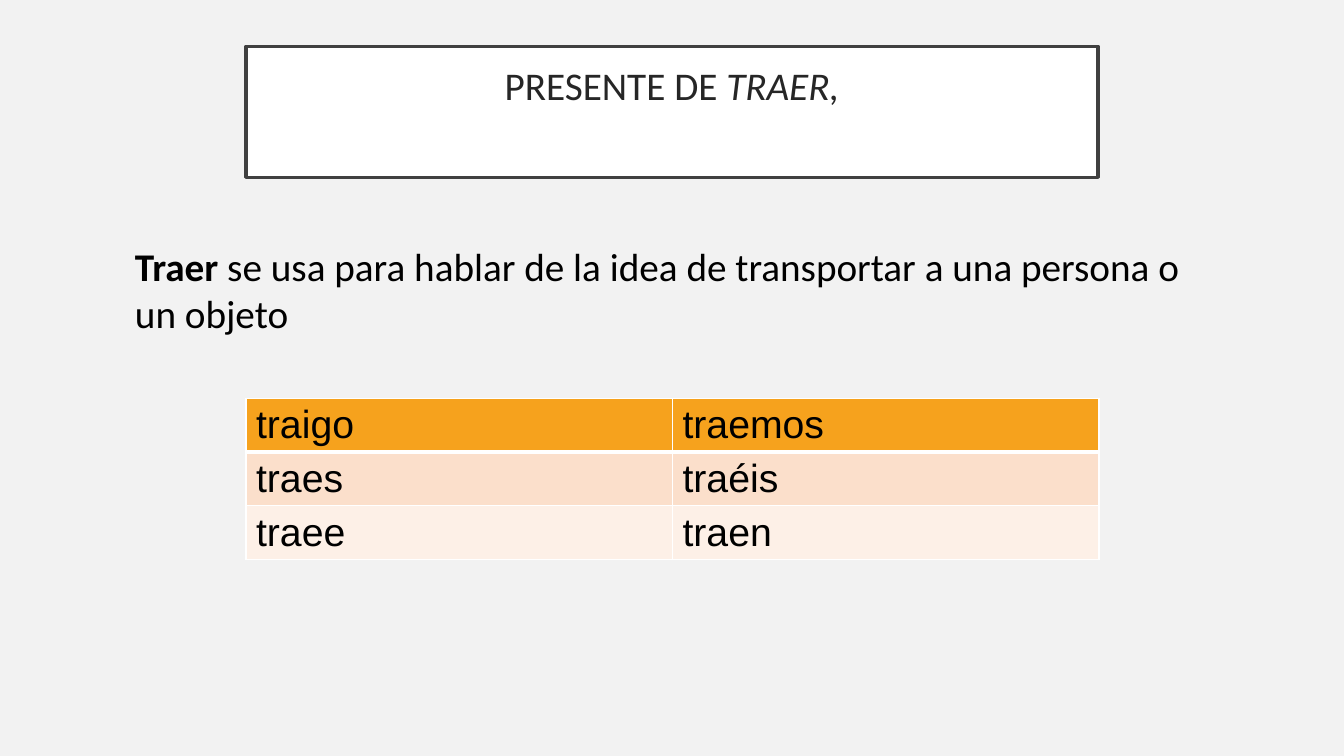
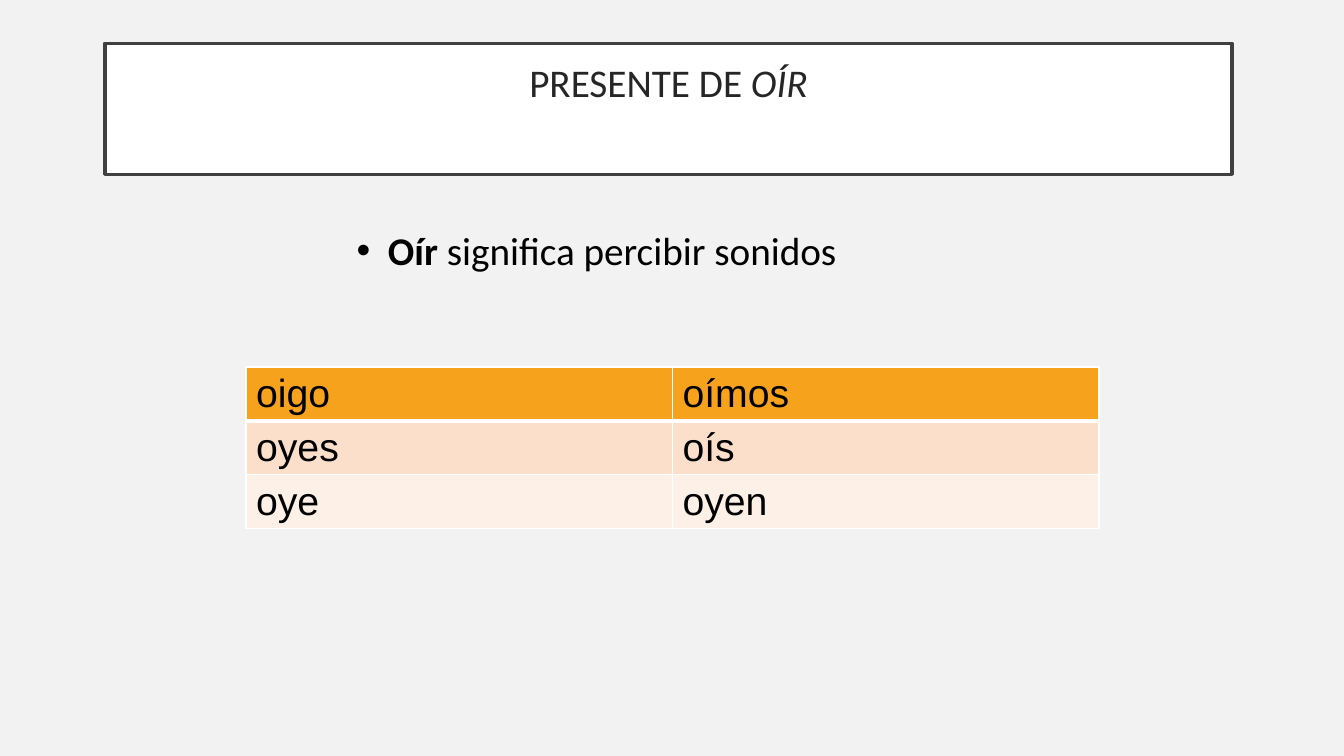
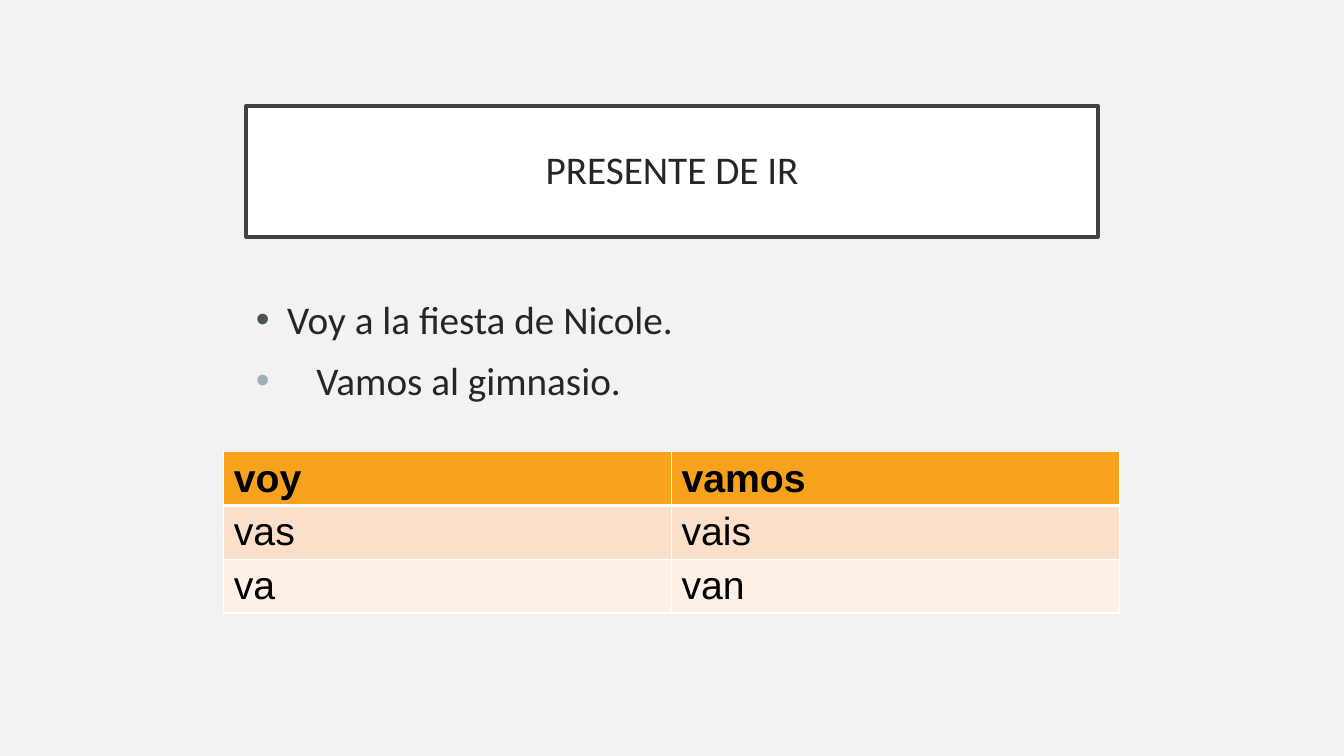
from dataclasses import dataclass
from typing import Any, NamedTuple, Optional

from lxml import etree
from pptx import Presentation
from pptx import util as u
from pptx.dml.color import RGBColor
from pptx.enum import shapes, text
from pptx.oxml import ns


@dataclass(frozen=True)
class Theme:
    background: str = "F2F2F2"
    white: str = "FFFFFF"
    frame: str = "404040"
    heading: str = "262626"
    black: str = "000000"
    bullet_dark: str = "4A5356"
    bullet_light: str = "9BAFB5"
    row_fills: tuple[str, ...] = ("F6A21D", "FBDFCB", "FDF0E7")
    text_font: str = "Calibri"
    table_font: str = "Arial"
    size: int = 28
    frame_width: float = 2.5
    border: int = 1
    header_border: int = 3


THEME = Theme()


class Box(NamedTuple):
    left: float
    top: float
    width: float
    height: float

    def lengths(self) -> list[int]:
        return [u.Inches(value) for value in self]


class Piece(NamedTuple):
    words: str
    bold: bool = False
    italic: bool = False


class Bullet(NamedTuple):
    color: str
    margin: float
    hanging: float


@dataclass(frozen=True)
class Line:
    pieces: tuple[Piece, ...]
    color: str = THEME.black
    bullet: Optional[Bullet] = None
    space_before: int = 0


@dataclass(frozen=True)
class Title:
    box: Box
    pieces: tuple[Piece, ...]
    anchor: Any = text.MSO_ANCHOR.TOP


@dataclass(frozen=True)
class VerbTable:
    left: float
    top: float
    column_width: float
    rows: tuple[tuple[str, str], ...]
    bold_header: bool = False
    row_height: float = 0.41


@dataclass(frozen=True)
class Lesson:
    title: Title
    body_box: Box
    lines: tuple[Line, ...]
    table: VerbTable


def set_format(target: Any, values: dict[str, Any]) -> None:
    for name, value in values.items():
        setattr(target, name, value)


def set_fill(fill: Any, color: str) -> None:
    fill.solid()
    fill.fore_color.rgb = RGBColor.from_string(color)


def set_frame(frame: Any, side: float, end: float, anchor: Any) -> None:
    set_format(frame, {
        "word_wrap": True,
        "auto_size": text.MSO_AUTO_SIZE.NONE,
        "vertical_anchor": anchor,
        "margin_left": u.Inches(side),
        "margin_right": u.Inches(side),
        "margin_top": u.Inches(end),
        "margin_bottom": u.Inches(end),
    })


def add_piece(paragraph: Any, piece: Piece, font_name: str, color: str) -> None:
    run = paragraph.add_run()
    run.text = piece.words
    set_format(run.font, {
        "name": font_name,
        "size": u.Pt(THEME.size),
        "bold": piece.bold,
        "italic": piece.italic,
    })
    run.font.color.rgb = RGBColor.from_string(color)


def add_bullet(paragraph: Any, bullet: Bullet) -> None:
    properties = paragraph._p.get_or_add_pPr()
    properties.set("marL", str(u.Inches(bullet.margin)))
    properties.set("indent", str(-u.Inches(bullet.hanging)))
    color = etree.SubElement(properties, ns.qn("a:buClr"))
    etree.SubElement(color, ns.qn("a:srgbClr"), val=bullet.color)
    etree.SubElement(properties, ns.qn("a:buFont"), typeface=THEME.table_font)
    etree.SubElement(properties, ns.qn("a:buChar"), char="•")


def add_title(slide: Any, title: Title) -> None:
    shape = slide.shapes.add_shape(shapes.MSO_SHAPE.RECTANGLE, *title.box.lengths())
    shape.shadow.inherit = False
    set_fill(shape.fill, THEME.white)
    set_fill(shape.line.fill, THEME.frame)
    shape.line.width = u.Pt(THEME.frame_width)
    set_frame(shape.text_frame, 0.2, 0.2, title.anchor)
    paragraph = shape.text_frame.paragraphs[0]
    set_format(paragraph, {"alignment": text.PP_ALIGN.CENTER, "line_spacing": 0.9})
    for piece in title.pieces:
        add_piece(paragraph, piece, THEME.text_font, THEME.heading)


def add_body(slide: Any, box: Box, lines: tuple[Line, ...]) -> None:
    frame = slide.shapes.add_textbox(*box.lengths()).text_frame
    set_frame(frame, 0.1, 0.05, text.MSO_ANCHOR.TOP)
    for index, line in enumerate(lines):
        paragraph = frame.add_paragraph() if index else frame.paragraphs[0]
        paragraph.space_before = u.Pt(line.space_before)
        if line.bullet:
            add_bullet(paragraph, line.bullet)
        for piece in line.pieces:
            add_piece(paragraph, piece, THEME.text_font, line.color)


def set_borders(cell: Any, widths: dict[str, int]) -> None:
    properties = cell._tc.get_or_add_tcPr()
    for side, width in widths.items():
        border = etree.SubElement(properties, ns.qn(f"a:ln{side}"), w=str(u.Pt(width)))
        fill = etree.SubElement(border, ns.qn("a:solidFill"))
        etree.SubElement(fill, ns.qn("a:srgbClr"), val=THEME.white)


def add_verb_table(slide: Any, verbs: VerbTable) -> None:
    row_count, column_count = len(verbs.rows), len(verbs.rows[0])
    box = Box(verbs.left, verbs.top, verbs.column_width * column_count,
              verbs.row_height * row_count)
    table = slide.shapes.add_table(row_count, column_count, *box.lengths()).table
    for row_index, forms in enumerate(verbs.rows):
        is_header = row_index == 0
        widths = {
            "L": THEME.border,
            "R": THEME.border,
            "T": THEME.header_border if row_index == 1 else THEME.border,
            "B": THEME.header_border if is_header else THEME.border,
        }
        for column_index, form in enumerate(forms):
            cell = table.cell(row_index, column_index)
            set_borders(cell, widths)
            set_fill(cell.fill, THEME.row_fills[row_index])
            piece = Piece(form, bold=is_header and verbs.bold_header)
            add_piece(cell.text_frame.paragraphs[0], piece, THEME.table_font, THEME.black)


LESSONS = (
    Lesson(
        Title(Box(2.44, 0.46, 8.45, 1.3),
              (Piece("PRESENTE DE "), Piece("TRAER,", italic=True))),
        Box(1.24, 2.35, 10.82, 1.04),
        (Line((Piece("Traer ", bold=True),
               Piece("se usa para hablar de la idea de transportar "
                     "a una persona o un objeto"))),),
        VerbTable(2.44, 3.95, 4.23,
                  (("traigo", "traemos"), ("traes", "traéis"), ("traee", "traen"))),
    ),
    Lesson(
        Title(Box(1.04, 0.43, 11.18, 1.3),
              (Piece("PRESENTE DE "), Piece("OÍR", italic=True))),
        Box(3.33, 2.2, 6.67, 1.04),
        (Line((Piece("Oír ", bold=True), Piece("significa percibir sonidos")),
              bullet=Bullet(THEME.black, 0.42, 0.31)),),
        VerbTable(2.44, 3.64, 4.23,
                  (("oigo", "oímos"), ("oyes", "oís"), ("oye", "oyen"))),
    ),
    Lesson(
        Title(Box(2.44, 1.05, 8.45, 1.3), (Piece("PRESENTE DE IR"),),
              text.MSO_ANCHOR.MIDDLE),
        Box(2.44, 2.88, 8.45, 3.39),
        (Line((Piece("Voy a la fiesta de Nicole."),), THEME.heading,
              Bullet(THEME.bullet_dark, 0.31, 0.31)),
         Line((Piece("Vamos al gimnasio."),), THEME.heading,
              Bullet(THEME.bullet_light, 0.6, 0.6), 10)),
        VerbTable(2.22, 4.48, 4.44,
                  (("voy", "vamos"), ("vas", "vais"), ("va", "van")),
                  bold_header=True),
    ),
)


def main() -> None:
    presentation = Presentation()
    set_format(presentation, {"slide_width": u.Inches(13.33),
                              "slide_height": u.Inches(7.5)})
    set_fill(presentation.slide_master.background.fill, THEME.background)
    for lesson in LESSONS:
        slide = presentation.slides.add_slide(presentation.slide_layouts[6])
        add_title(slide, lesson.title)
        add_body(slide, lesson.body_box, lesson.lines)
        add_verb_table(slide, lesson.table)
    presentation.save("out.pptx")


if __name__ == "__main__":
    main()
